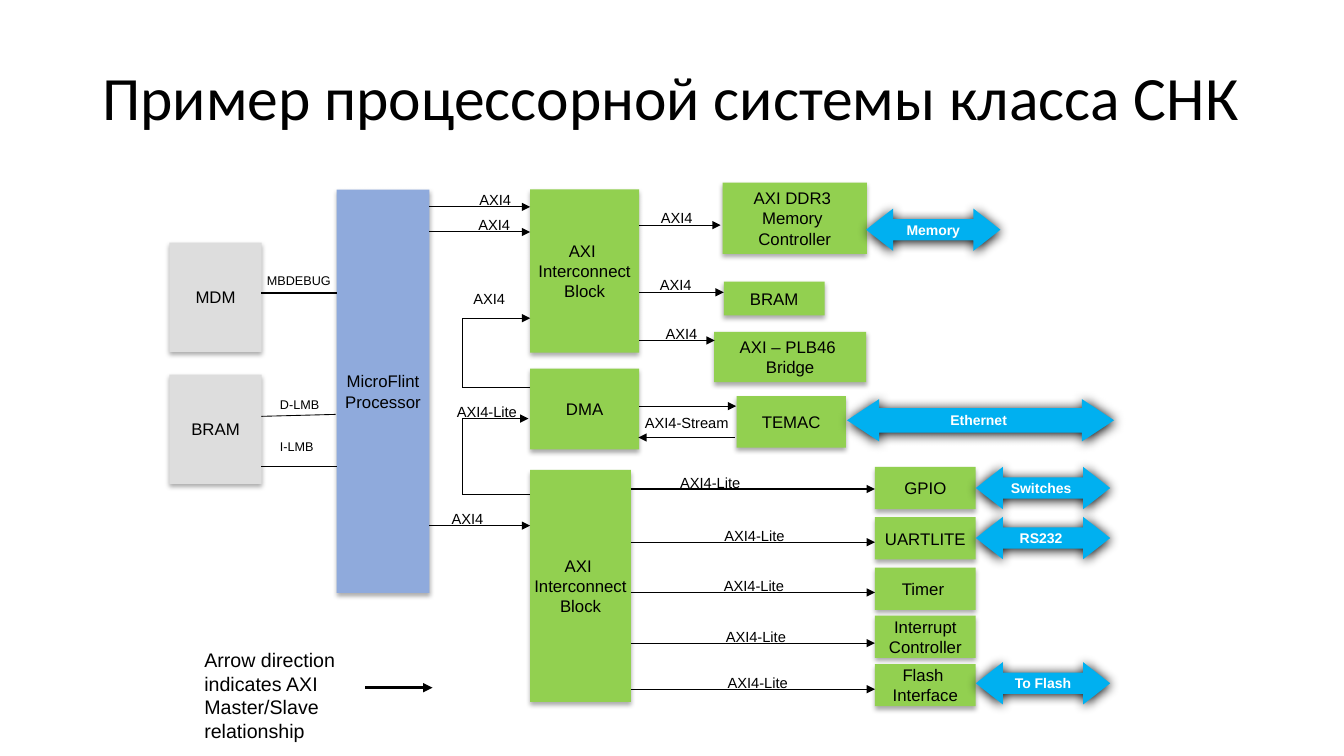
import pptx
import pptx.dml.color
import pptx.enum.shapes
import pptx.enum.text
import pptx.oxml.ns
import pptx.util
from lxml import etree

Pt = pptx.util.Pt
RGBColor = pptx.dml.color.RGBColor
MSO_SHAPE = pptx.enum.shapes.MSO_SHAPE
ALIGN = pptx.enum.text.PP_ALIGN
ANCHOR = pptx.enum.text.MSO_ANCHOR
AUTO_SIZE = pptx.enum.text.MSO_AUTO_SIZE
qn = pptx.oxml.ns.qn

BLACK = RGBColor(0x00, 0x00, 0x00)
WHITE = RGBColor(0xFF, 0xFF, 0xFF)
BLUE = RGBColor(0x8F, 0xAA, 0xDC)
GREEN = RGBColor(0x92, 0xD0, 0x50)
GRAY = RGBColor(0xDD, 0xDD, 0xDD)
CYAN = RGBColor(0x00, 0xB0, 0xF0)

MEMORY_LEFT = 121
PROCESSOR_LEFT = 240.5
PROCESSOR_RIGHT = 306.7
HUB_LEFT = 378.7
HUB_RIGHT = 456.5
LITE_RIGHT = 450.7
PORT_LEFT = 625
PORT_RIGHT = 697
LOOP_LEFT = 330.3


def write_text(shape, text, size=12, font="Arial", color=BLACK, bold=False,
               align=ALIGN.LEFT, anchor=ANCHOR.TOP, wrap=False, spacing=1.0):
    frame = shape.text_frame
    frame.word_wrap = wrap
    frame.vertical_anchor = anchor
    frame.text = text
    for paragraph in frame.paragraphs:
        paragraph.alignment = align
        paragraph.line_spacing = spacing
        paragraph.font.size = Pt(size)
        paragraph.font.name = font
        paragraph.font.bold = bold
        paragraph.font.color.rgb = color


def add_shadowed(kind, box, fill, blur, distance, opacity):
    shape = slide.shapes.add_shape(kind, *[Pt(length) for length in box])
    shape.fill.solid()
    shape.fill.fore_color.rgb = fill
    shape.line.fill.background()
    shape.shadow.inherit = False
    effects = shape.element.spPr.find(qn("a:effectLst"))
    shadow = etree.SubElement(
        effects, qn("a:outerShdw"), blurRad=str(Pt(blur)), dist=str(Pt(distance)),
        dir="5400000", rotWithShape="0")
    shadow_color = etree.SubElement(shadow, qn("a:srgbClr"), val="000000")
    etree.SubElement(shadow_color, qn("a:alpha"), val=str(opacity * 1000))
    return shape


presentation = pptx.Presentation()
presentation.slide_width = Pt(960)
presentation.slide_height = Pt(540)
slide = presentation.slides.add_slide(presentation.slide_layouts[6])

title = slide.shapes.add_textbox(Pt(66), Pt(28.75), Pt(828), Pt(85.7))
write_text(title, "Пример процессорной системы класса СНК", size=44, font="Calibri",
           anchor=ANCHOR.MIDDLE, wrap=True, spacing=0.9)

blocks = [
    ("MicroFlint\nProcessor", BLUE, (PROCESSOR_LEFT, 135.5, 66.2, 288)),
    ("MDM", GRAY, (MEMORY_LEFT, 173.3, 66, 78)),
    ("BRAM", GRAY, (MEMORY_LEFT, 267.6, 66, 78)),
    ("AXI \nInterconnect\nBlock", GREEN, (HUB_LEFT, 135.3, 77.8, 116.6)),
    ("DMA", GREEN, (HUB_LEFT, 263.3, 77.8, 57.7)),
    ("AXI \nInterconnect\nBlock", GREEN, (HUB_LEFT, 335.7, 72, 165.6)),
    ("AXI DDR3 \nMemory \nController", GREEN, (516.2, 130.4, 103, 51)),
    ("BRAM", GREEN, (517, 201.2, 72, 24)),
    ("AXI – PLB46 \nBridge", GREEN, (510, 237, 108.7, 36)),
    ("TEMAC", GREEN, (526.2, 283, 78, 36.7)),
]
ports = [("GPIO", 333.5), ("UARTLITE", 369.4), ("Timer ", 405.4),
         ("Interrupt\nController", 439.8), ("Flash \nInterface", 474.3)]
blocks += [(text, GREEN, (PORT_LEFT, top, 72, 30.2)) for text, top in ports]
for text, fill, box in blocks:
    block = add_shadowed(MSO_SHAPE.RECTANGLE, box, fill, 3.5, 2.2, 32)
    write_text(block, text, align=ALIGN.CENTER, anchor=ANCHOR.MIDDLE)

external_links = [
    ("Memory", 618.6, 149, 96, 0.5, 0.64),
    ("Ethernet ", 605, 285.1, 190.8, 0.58, 0.76),
    ("Switches ", PORT_RIGHT, 333.5, 96, 0.5, 0.64),
    ("RS232 ", PORT_RIGHT, 369.2, 96, 0.5, 0.64),
    ("To Flash", PORT_RIGHT, 473, 96, 0.5, 0.64),
]
for text, left, top, width, shaft, head in external_links:
    link = add_shadowed(MSO_SHAPE.LEFT_RIGHT_ARROW, (left, top, width, 30.2),
                        CYAN, 8.5, 1, 100)
    link.adjustments[0] = shaft
    link.adjustments[1] = head
    write_text(link, text, size=10, color=WHITE, bold=True,
               align=ALIGN.CENTER, anchor=ANCHOR.MIDDLE)

lite_buses = [(349.3, 478.8), (387.3, 510.4), (423.2, 510), (459.4, 511.4), (492.3, 512.7)]

plain_lines = [
    (186.8, 209.3, PROCESSOR_LEFT, 209.3, 0.75),
    (186.8, 297.4, 239.8, 296, 0.63),
    (PROCESSOR_LEFT, 333.5, 186.8, 333.5, 0.63),
    (HUB_LEFT, 276.5, LOOP_LEFT, 276.5, 0.75),
    (LOOP_LEFT, 276.5, LOOP_LEFT, 227.3, 0.75),
    (HUB_LEFT, 353.4, LOOP_LEFT, 353.4, 0.75),
    (LOOP_LEFT, 353.4, LOOP_LEFT, 299, 0.75),
]
arrows = [
    (PROCESSOR_RIGHT, 147.8, HUB_LEFT, 147.8, 0.75),
    (PROCESSOR_RIGHT, 165.7, HUB_LEFT, 165.7, 0.75),
    (PROCESSOR_RIGHT, 375.5, HUB_LEFT, 375.5, 0.63),
    (LOOP_LEFT, 227.3, HUB_LEFT, 227.3, 0.75),
    (LOOP_LEFT, 299, 377.5, 299, 0.75),
    (HUB_RIGHT, 160.8, 514.8, 160.8, 0.75),
    (HUB_RIGHT, 208.8, 517, 208.8, 0.75),
    (HUB_RIGHT, 243.2, 510.5, 243.2, 0.75),
    (HUB_RIGHT, 290.1, 525.8, 290.1, 0.75),
    (525.2, 312.5, 456, 312.5, 0.75),
    (260.8, 491.2, 309, 491.2, 2.25),
]
arrows += [(LITE_RIGHT, y, PORT_LEFT, y, 0.75) for y, label_left in lite_buses]
for lines, has_head in ((plain_lines, False), (arrows, True)):
    for *ends, weight in lines:
        connector = slide.shapes.add_connector(
            pptx.enum.shapes.MSO_CONNECTOR.STRAIGHT, *[Pt(length) for length in ends])
        connector.line.color.rgb = BLACK
        connector.line.width = Pt(weight)
        properties = connector.element.spPr
        if has_head:
            etree.SubElement(properties.find(qn("a:ln")), qn("a:tailEnd"), type="triangle")
        etree.SubElement(properties, qn("a:effectLst"))

labels = [
    ("MBDEBUG", 183.6, 191.7, 60.5, 9),
    ("D-LMB", 192.9, 279.6, 42.5, 9),
    ("I-LMB", 192.9, 309.8, 39, 9),
    ("AXI4-Lite", 319.2, 284, 58.3, 10.5),
    ("AXI4-Stream", 453.6, 291.8, 75.6, 10.5),
]
axi_labels = [(335.3, 132.6), (334.6, 150.6), (331, 203.6), (315.5, 360.8),
              (465, 145.6), (464.3, 193.6), (468.4, 228.4)]
labels += [("AXI4", left, top, 37.4, 10.5) for left, top in axi_labels]
labels += [("AXI4-Lite", left, y - 14.6, 58.3, 10.5) for y, left in lite_buses]
for text, left, top, width, size in labels:
    label = slide.shapes.add_textbox(Pt(left), Pt(top), Pt(width), Pt(size * 2))
    write_text(label, text, size=size)
    label.text_frame.auto_size = AUTO_SIZE.SHAPE_TO_FIT_TEXT

legend = slide.shapes.add_textbox(Pt(138.8), Pt(459.4), Pt(120), Pt(75))
write_text(legend, "Arrow direction indicates AXI Master/Slave relationship", size=14, wrap=True)

presentation.save("out.pptx")
